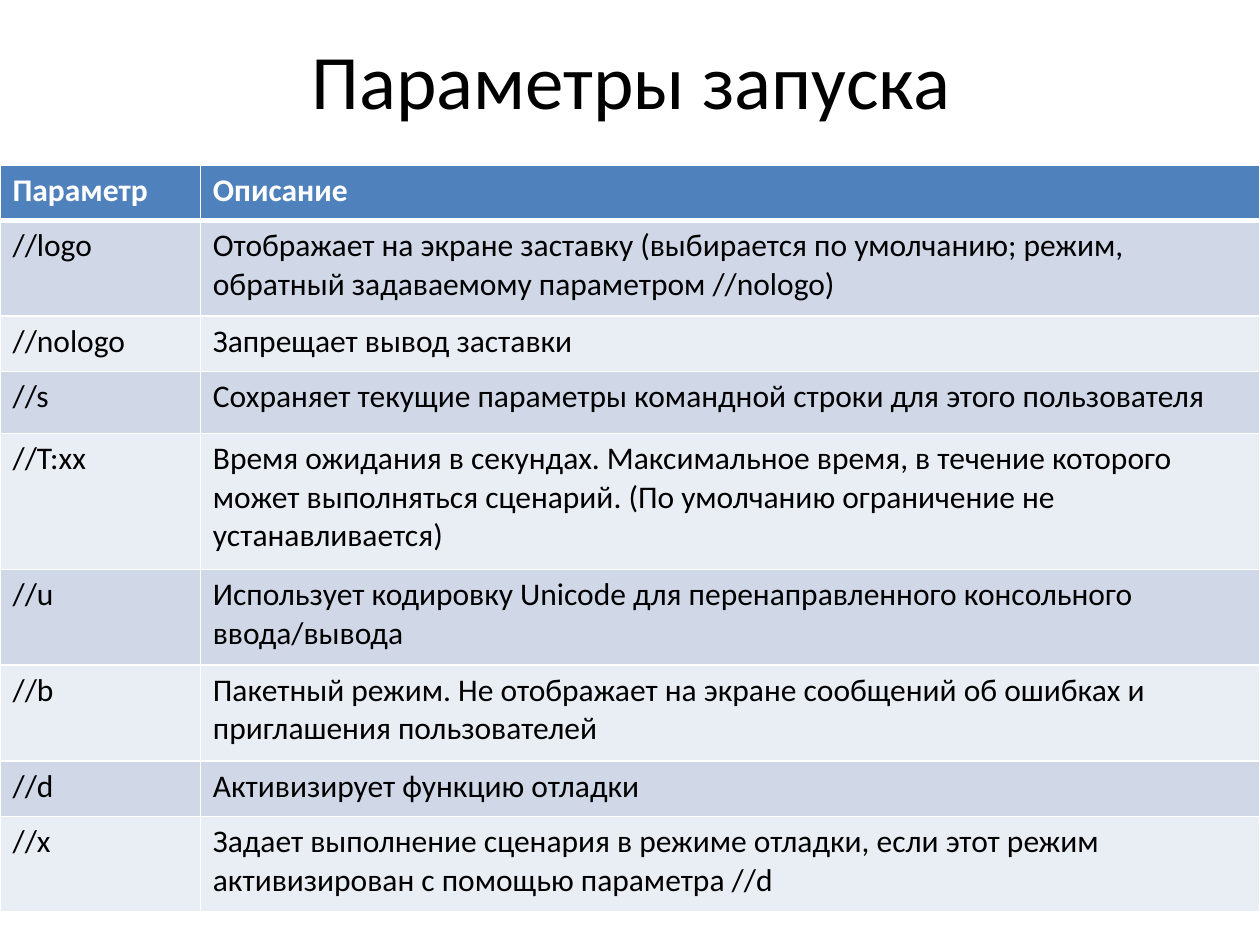
from pptx import Presentation
from pptx.dml.color import RGBColor as Rgb
from pptx.enum.text import MSO_ANCHOR as Anchor, PP_ALIGN as Align
from pptx.oxml import parse_xml
from pptx.oxml.ns import nsdecls
from pptx.util import Inches, Pt

COLORS = {
    "text": "000000",
    "white": "FFFFFF",
    "header": "4F81BD",
    "odd": "D0D8E8",
    "even": "E9EDF4",
}
COLUMN_WIDTHS = [1.59, 8.41]
HEADINGS = ("Параметр", "Описание")
OPTIONS = [
    ("//logo", "Отображает на экране заставку (выбирается по умолчанию; режим, "
               "обратный задаваемому параметром //nologo)", 0.76),
    ("//nologo", "Запрещает вывод заставки", 0.44),
    ("//s", "Сохраняет текущие параметры командной строки для этого пользователя", 0.49),
    ("//T:xx", "Время ожидания в секундах. Максимальное время, в течение которого может "
               "выполняться сценарий. (По умолчанию ограничение не устанавливается)", 1.08),
    ("//u", "Использует кодировку Unicode для перенаправленного консольного ввода/вывода", 0.76),
    ("//b", "Пакетный режим. Не отображает на экране сообщений об ошибках и "
            "приглашения пользователей", 0.76),
    ("//d", "Активизирует функцию отладки", 0.44),
    ("//x", "Задает выполнение сценария в режиме отладки, если этот режим "
            "активизирован с помощью параметра //d", 0.76),
]


class SlideBuilder:
    """Holds the text style and the current slide, and adds its elements."""

    def __init__(self, slide, font="Calibri"):
        self.slide = slide
        self.font = font

    def style(self, frame, size, color, bold=False):
        for para in frame.paragraphs:
            for span in para.runs:
                span.font.name = self.font
                span.font.size = Pt(size)
                span.font.bold = bold
                span.font.color.rgb = Rgb.from_string(COLORS[color])

    def title(self, text, left, top, width, height):
        box = self.slide.shapes.title
        box.left, box.top = Inches(left), Inches(top)
        box.width, box.height = Inches(width), Inches(height)
        frame = box.text_frame
        frame.text = text
        frame.vertical_anchor = Anchor.MIDDLE
        frame.paragraphs[0].alignment = Align.CENTER
        self.style(frame, 44, "text")

    def borders(self, cell, top, bottom):
        properties = cell._tc.get_or_add_tcPr()
        widths = {"lnL": 1, "lnR": 1, "lnT": top, "lnB": bottom}
        for index, (side, width) in enumerate(widths.items()):
            properties.insert(index, parse_xml(
                f'<a:{side} {nsdecls("a")} w="{Pt(width)}"><a:solidFill>'
                f'<a:srgbClr val="{COLORS["white"]}"/></a:solidFill></a:{side}>'))

    def cell(self, cell, text, row):
        header = row == 0
        fill = "header" if header else ("even", "odd")[row % 2]
        cell.text = text
        cell.fill.solid()
        cell.fill.fore_color.rgb = Rgb.from_string(COLORS[fill])
        self.style(cell.text_frame, 18, "white" if header else "text", header)
        self.borders(cell, 3 if row == 1 else 1, 3 if header else 1)

    def table(self, rows, heights, widths, left, top):
        table = self.slide.shapes.add_table(
            len(rows), len(widths), Inches(left), Inches(top),
            Inches(sum(widths)), Inches(sum(heights))).table
        for column, width in zip(table.columns, widths):
            column.width = Inches(width)
        for index, (texts, height) in enumerate(zip(rows, heights)):
            table.rows[index].height = Inches(height)
            for column, text in enumerate(texts):
                self.cell(table.cell(index, column), text, index)


def main():
    deck = Presentation()
    deck.slide_width, deck.slide_height = Inches(10), Inches(7.5)
    page = SlideBuilder(deck.slides.add_slide(deck.slide_layouts[5]))
    page.title("Параметры запуска", 0.51, 0, 9, 1.25)
    rows = [HEADINGS] + [(name, description) for name, description, _ in OPTIONS]
    heights = [0.44] + [height for _, _, height in OPTIONS]
    page.table(rows, heights, COLUMN_WIDTHS, 0, 1.31)
    deck.save("out.pptx")


if __name__ == "__main__":
    main()
